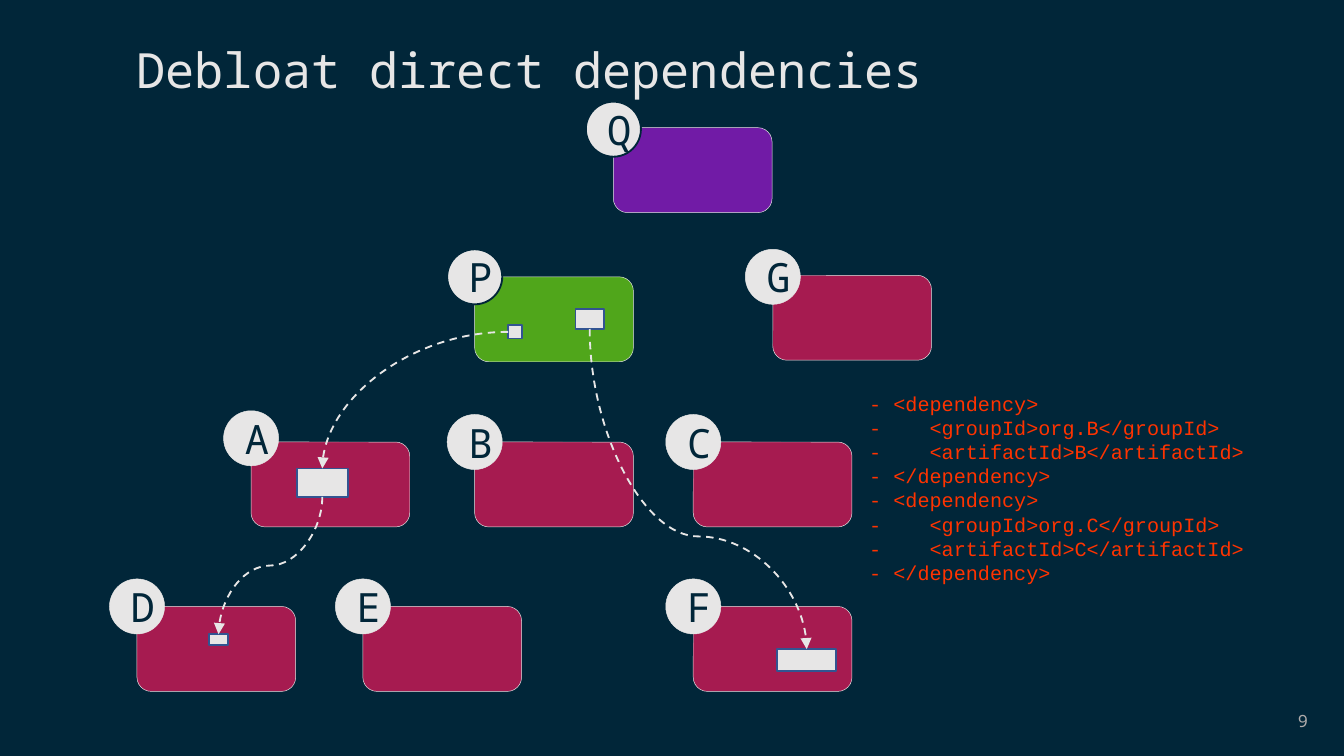
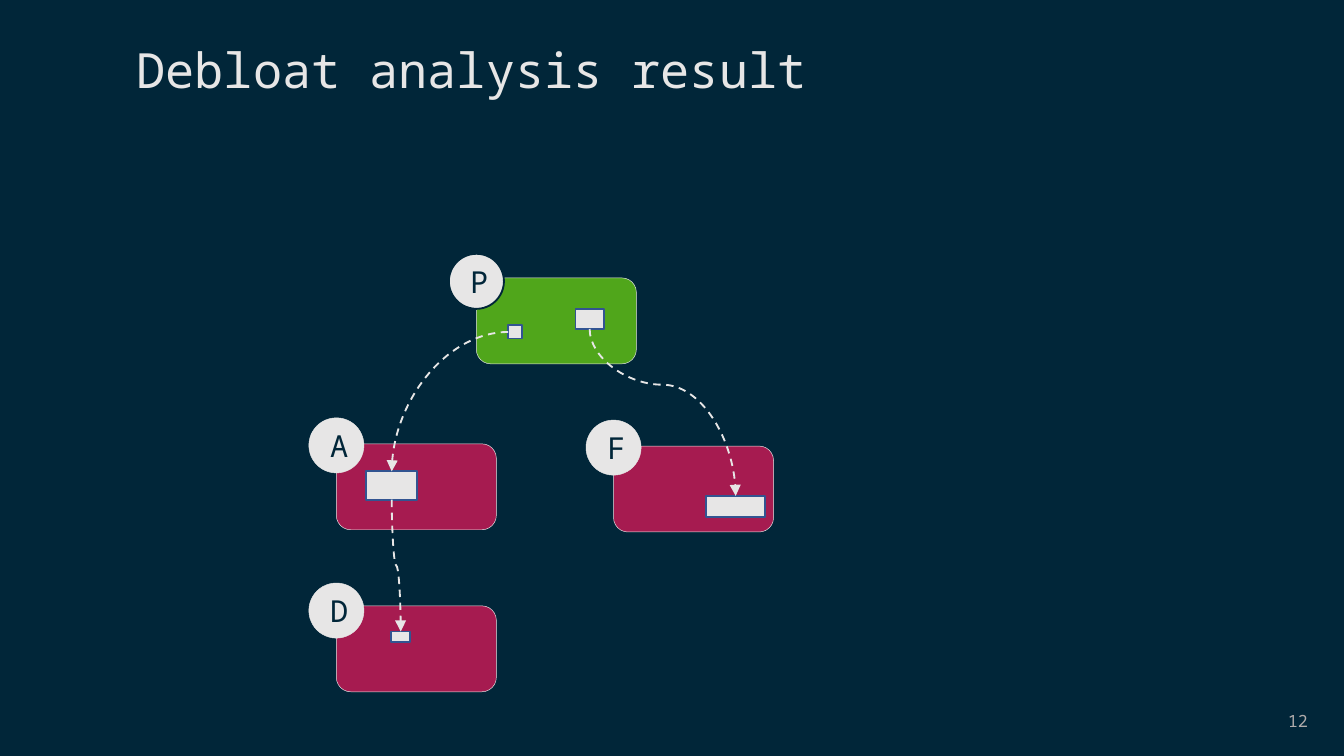
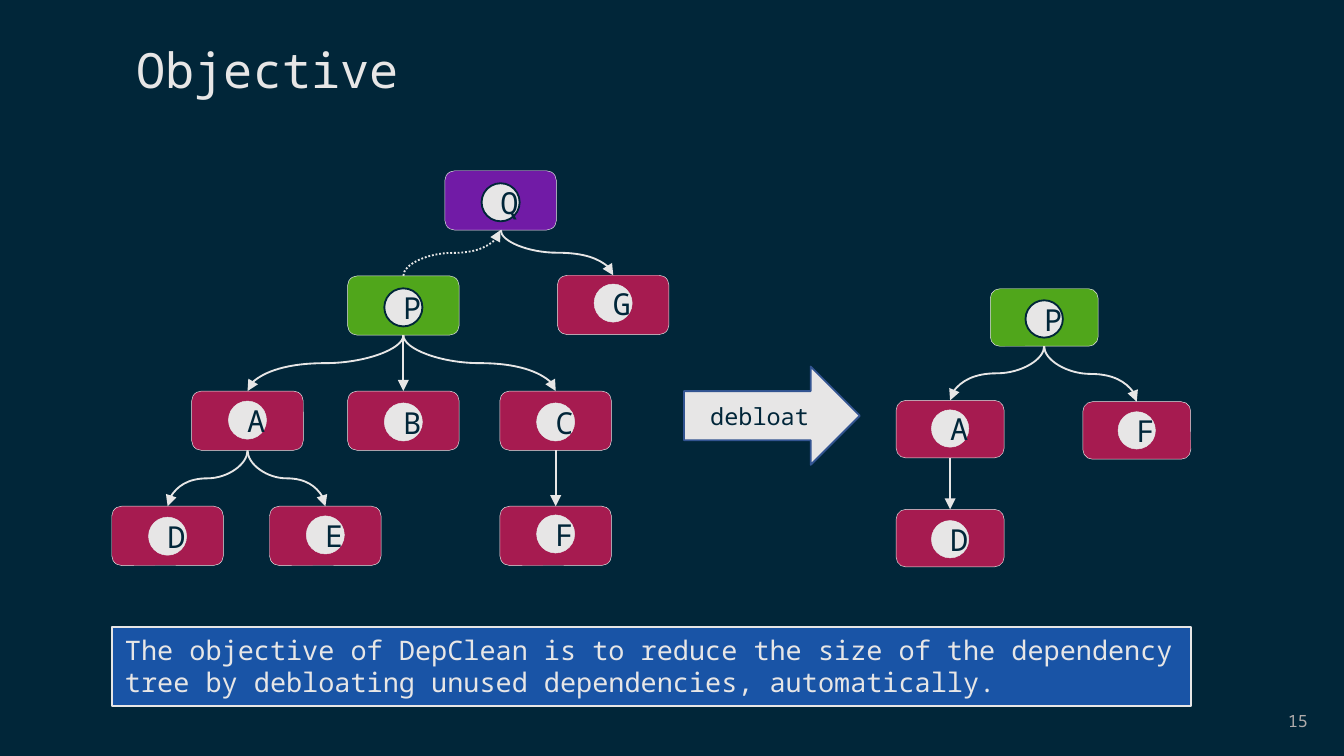
from dataclasses import dataclass

import pptx
import pptx.dml.color
import pptx.enum.dml
import pptx.enum.shapes
import pptx.enum.text
import pptx.oxml
import pptx.oxml.ns
import pptx.util

Pt = pptx.util.Pt
SHAPE = pptx.enum.shapes.MSO_SHAPE
CONNECTOR = pptx.enum.shapes.MSO_CONNECTOR
DASH = pptx.enum.dml.MSO_LINE
ALIGN = pptx.enum.text.PP_ALIGN
ANCHOR = pptx.enum.text.MSO_ANCHOR


@dataclass(frozen=True)
class Theme:
    background: str = "012639"
    light: str = "E7E6E6"
    number: str = "AFABAB"
    parent: str = "711BA6"
    project: str = "50A61B"
    dependency: str = "A61B50"
    part_edge: str = "325491"
    statement: str = "1954A6"
    removed: str = "FF3300"
    font: str = "Noto Sans Mono"
    code_font: str = "Courier New"
    title_size: float = 26
    number_size: float = 9
    large_letter: float = 21.6
    letter: float = 16.2
    statement_size: float = 14.4
    arrow_size: float = 12.6
    code_size: float = 10.8
    hairline: float = 0.25
    stroke: float = 1


THEME = Theme()
TOP, LEFT, BOTTOM = 0, 1, 2  # connection sites of a rectangle

# ---- Content: module -> (left, top, badge shift down) ----
DIRECT = {
    "title": "Debloat direct dependencies",
    "number": "9",
    "tree": {
        "size": (85, 45.5), "badge": 29.5, "letter": THEME.large_letter,
        "modules": {
            "P": (254.3, 148.3, 0), "A": (134.5, 236.8, -2), "B": (254.3, 236.8, 0),
            "C": (371.4, 236.8, 0), "D": (73.4, 324.9, 0), "E": (194.4, 324.9, 0),
            "F": (371.4, 324.9, 0), "Q": (328.6, 68.4, 0.8), "G": (414, 147.5, 0.8),
        },
    },
    "used": {"A": (159, 251), "D": (112, 339.8), "F": (416.3, 347.8)},
    "bend": 0.648,
}
RESULT = {
    "title": "Debloat analysis result",
    "number": "12",
    "tree": {
        "size": (85.7, 46), "badge": 29.5, "letter": THEME.letter,
        "modules": {
            "P": (255.2, 148.9, 1.8), "A": (180.2, 237.8, 0.8),
            "F": (328.7, 239, 0.8), "D": (180.2, 324.6, 2.5),
        },
    },
    "used": {"A": (196.2, 252.5), "D": (209.6, 338.3), "F": (378.3, 265.7)},
    "bend": 0.334,
}
CALLERS = {"P to A": (272.2, 174.2), "P to F": (308.3, 165.6)}
USED_SIZES = {"P to A": (7.7, 7.2), "P to F": (15.2, 10.7),
              "A": (27.3, 15.2), "D": (10.1, 5.8), "F": (31.7, 11.5)}

REMOVED_DEPENDENCIES = ["B", "C"]
REMOVED_LINES = ("- <dependency>\n"
                 "-    <groupId>org.{0}</groupId>\n"
                 "-    <artifactId>{0}</artifactId>\n"
                 "- </dependency>")

BEFORE = {
    "size": (59.8, 31.8), "badge": 20.4, "letter": THEME.letter, "centred": True,
    "modules": {
        "P": (186.2, 147.8, 1), "A": (102.7, 209.5, -0.3), "B": (186.2, 209.5, 0.7),
        "C": (267.8, 209.5, 0.7), "D": (59.9, 271.2, 0.2), "E": (144.4, 271.2, -0.5),
        "F": (267.8, 271.2, -1), "Q": (238.3, 91.5, 1), "G": (298.6, 147.5, -1),
    },
    "edges": ["PA", "PB", "PC", "AD", "AE", "CF", "QG"],
    "parent_edge": "PQ",
}
AFTER = {
    "size": (57.8, 30.8), "badge": 20, "letter": THEME.letter, "centred": True,
    "modules": {"P": (530.5, 154.7, 0.8), "A": (480.1, 214.5, -0.3),
                "F": (580.1, 215.2, 0), "D": (480.1, 272.9, 0.6)},
    "edges": ["PA", "PF", "AD"],
}
ARROW_LABEL = "debloat"
STATEMENT = ("The objective of DepClean is to reduce the size of the dependency "
             "tree by debloating unused dependencies, automatically.")


# ---- Building blocks ----
def colour(value):
    return pptx.dml.color.RGBColor.from_string(value)


def style(paragraph, size, ink, font=THEME.font, align=ALIGN.LEFT):
    paragraph.alignment = align
    paragraph.font.name = font
    paragraph.font.size = Pt(size)
    paragraph.font.color.rgb = colour(ink)


def add_block(shapes, kind, box, fill, edge=THEME.light, weight=THEME.stroke):
    block = shapes.add_shape(kind, *map(Pt, box))
    block.shadow.inherit = False
    block.fill.solid()
    block.fill.fore_color.rgb = colour(fill)
    block.line.color.rgb = colour(edge)
    block.line.width = Pt(weight)
    return block


def write(block, text, size, ink=THEME.background, align=ALIGN.CENTER):
    block.text_frame.text = text
    style(block.text_frame.paragraphs[0], size, ink, align=align)


def add_text_box(slide, box):
    frame = slide.shapes.add_textbox(*map(Pt, box)).text_frame
    frame.word_wrap = True
    return frame


def add_tree(shapes, tree):
    """Draw the modules, then their letter badges; return the modules by letter."""
    width, height = tree["size"]
    side = tree["badge"]
    fills = {"Q": THEME.parent, "P": THEME.project}
    modules = {
        letter: add_block(shapes, SHAPE.ROUNDED_RECTANGLE, (x, y, width, height),
                          fills.get(letter, THEME.dependency), weight=THEME.hairline)
        for letter, (x, y, _) in tree["modules"].items()
    }
    for letter, (x, y, shift) in tree["modules"].items():
        if tree.get("centred"):
            x, y = x + width / 2, y + height / 2
        ring = ((THEME.background, THEME.stroke) if letter in fills
                else (THEME.light, THEME.hairline))
        badge = add_block(shapes, SHAPE.OVAL,
                          (x - side / 2, y - side / 2 + shift, side, side),
                          THEME.light, *ring)
        write(badge, letter, tree["letter"])
    return modules


def add_arrow(shapes, start, end, leave=BOTTOM, arrive=TOP, dash=None, bend=0.5):
    """Link two shapes: straight when aligned, a quarter curve when leaving sideways."""
    arrow = shapes.add_connector(CONNECTOR.CURVE, start.left, start.top, end.left, end.top)
    arrow.begin_connect(start, leave)
    arrow.end_connect(end, arrive)
    dx, dy = arrow.end_x - arrow.begin_x, arrow.end_y - arrow.begin_y
    centre_x = (arrow.begin_x + arrow.end_x) // 2
    centre_y = (arrow.begin_y + arrow.end_y) // 2

    # Express the path in the frame before rotation
    properties = arrow.element.spPr
    geometry = properties.find(pptx.oxml.ns.qn("a:prstGeom"))
    if abs(dx) < Pt(1):
        preset, turn, along, across = "line", 0, dx, dy
    elif leave == LEFT:
        preset, turn, along, across = "curvedConnector2", 180, -dx, -dy
    elif dx > 0 and dy > 0:
        preset, turn, along, across = "curvedConnector3", 270, -dy, dx
    else:
        preset, turn, along, across = "curvedConnector3", 90, dy, -dx
    geometry.set("prst", preset)
    arrow.width, arrow.height = abs(along), abs(across)
    arrow.left = centre_x - abs(along) // 2
    arrow.top = centre_y - abs(across) // 2
    frame = properties.xfrm
    frame.rot, frame.flipH, frame.flipV = turn, along < 0, across < 0
    if preset == "curvedConnector3":
        guide = geometry.get_or_add_avLst().makeelement(
            pptx.oxml.ns.qn("a:gd"), {"name": "adj1", "fmla": f"val {round(bend * 100000)}"})
        geometry.get_or_add_avLst().append(guide)

    # Stroke, arrowhead, no shadow
    arrow.line.color.rgb = colour(THEME.light)
    arrow.line.width = Pt(THEME.stroke)
    if dash:
        arrow.line.dash_style = dash
    namespace = pptx.oxml.ns.nsdecls("a")
    arrow.line._get_or_add_ln().append(
        pptx.oxml.parse_xml(f'<a:tailEnd {namespace} type="triangle"/>'))
    properties.append(pptx.oxml.parse_xml(f"<a:effectLst {namespace}/>"))


def add_slide(deck, layout, title, number):
    slide = deck.slides.add_slide(layout)
    heading = slide.shapes.title.text_frame
    heading.text = title
    heading.vertical_anchor = ANCHOR.MIDDLE
    heading.paragraphs[0].line_spacing = 0.9
    style(heading.paragraphs[0], THEME.title_size, THEME.light)

    footer = add_text_box(slide, (545.8, 375.2, 162, 21.6))
    footer.vertical_anchor = ANCHOR.MIDDLE
    footer.text = number
    style(footer.paragraphs[0], THEME.number_size, THEME.number, align=ALIGN.RIGHT)
    return slide


def add_usage_slide(deck, layout, content):
    """Modules with the parts of them that are really called."""
    slide = add_slide(deck, layout, content["title"], content["number"])
    add_tree(slide.shapes, content["tree"])
    used = {
        name: add_block(slide.shapes, SHAPE.RECTANGLE, place + USED_SIZES[name],
                        THEME.light, THEME.part_edge)
        for name, place in {**CALLERS, **content["used"]}.items()
    }
    add_arrow(slide.shapes, used["P to A"], used["A"], leave=LEFT, dash=DASH.DASH)
    add_arrow(slide.shapes, used["A"], used["D"], dash=DASH.DASH)
    add_arrow(slide.shapes, used["P to F"], used["F"], dash=DASH.DASH, bend=content["bend"])
    return slide


def add_linked_tree(slide, tree):
    shapes = slide.shapes.add_group_shape().shapes
    modules = add_tree(shapes, tree)
    for start, end in tree["edges"]:
        add_arrow(shapes, modules[start], modules[end])
    if "parent_edge" in tree:
        child, parent = tree["parent_edge"]
        add_arrow(shapes, modules[child], modules[parent], TOP, BOTTOM, DASH.ROUND_DOT)


def main():
    deck = pptx.Presentation()
    deck.slide_width, deck.slide_height = Pt(720), Pt(405)

    # Shared look
    backdrop = deck.slide_master.background.fill
    backdrop.solid()
    backdrop.fore_color.rgb = colour(THEME.background)
    layout = deck.slide_layouts.get_by_name("Title Only")
    heading = layout.placeholders[0]
    heading.left, heading.top, heading.width, heading.height = map(Pt, (66, 16.5, 607, 45.5))

    # Direct dependencies, with the removed lines
    direct = add_usage_slide(deck, layout, DIRECT)
    removed = add_text_box(direct, (458.6, 206, 219, 112.3))
    for index, name in enumerate(REMOVED_DEPENDENCIES):
        paragraph = removed.add_paragraph() if index else removed.paragraphs[0]
        paragraph.text = REMOVED_LINES.format(name)
        style(paragraph, THEME.code_size, THEME.removed, THEME.code_font)

    # Analysis result
    add_usage_slide(deck, layout, RESULT)

    # Objective: tree before and after
    objective = add_slide(deck, layout, "Objective", "15")
    add_linked_tree(objective, AFTER)
    debloat = add_block(objective.shapes, SHAPE.RIGHT_ARROW, (366.4, 196.4, 94.2, 52.6),
                        THEME.light, THEME.part_edge)
    write(debloat, ARROW_LABEL, THEME.arrow_size)
    statement = add_block(objective.shapes, SHAPE.RECTANGLE, (59.9, 336, 578.2, 42.4),
                          THEME.statement)
    statement.text_frame.vertical_anchor = ANCHOR.TOP
    write(statement, STATEMENT, THEME.statement_size, THEME.light, ALIGN.LEFT)
    add_linked_tree(objective, BEFORE)

    deck.save("out.pptx")


if __name__ == "__main__":
    main()
